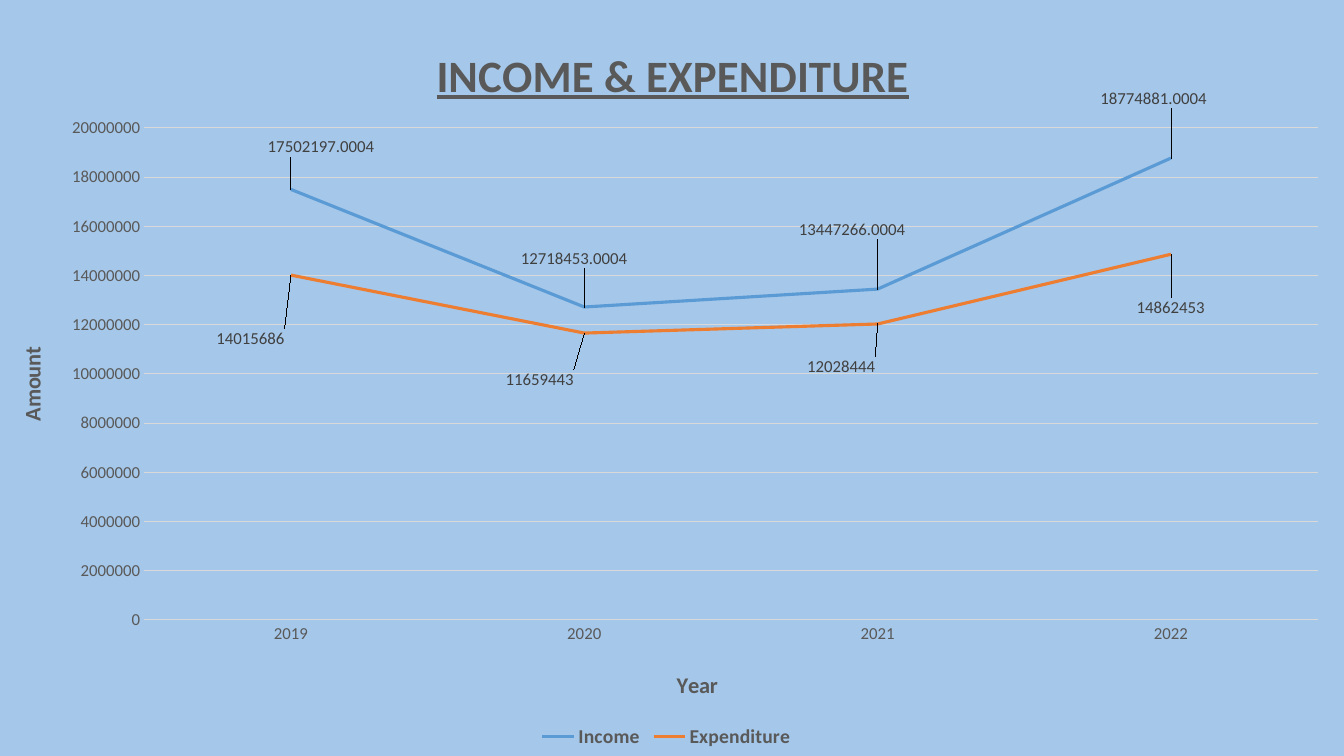
from lxml import etree
from pptx import Presentation
from pptx.chart.data import CategoryChartData
from pptx.dml.color import RGBColor
from pptx.enum.chart import (XL_CHART_TYPE, XL_LABEL_POSITION, XL_LEGEND_POSITION,
                             XL_MARKER_STYLE, XL_TICK_MARK)
from pptx.oxml.ns import qn
from pptx.util import Inches, Pt

LINE_CHART = XL_CHART_TYPE.LINE
LABEL_RIGHT = XL_LABEL_POSITION.RIGHT
LEGEND_BOTTOM = XL_LEGEND_POSITION.BOTTOM
NO_MARKER = XL_MARKER_STYLE.NONE
NO_TICK = XL_TICK_MARK.NONE

FONT = "Calibri"
BACKGROUND, GRAY, LABEL_GRAY, GRID = "A5C7E9", "595959", "404040", "D9D9D9"
CHART_BOX = (-0.14, 0, 13.47, 7.5)
YEARS = ["2019", "2020", "2021", "2022"]
# Name, colour, values, and the shift of each value label in inches
SERIES = [
    ("Income", "5B9BD5", [17502197.0004, 12718453.0004, 13447266.0004, 18774881.0004],
     [(-0.27, -0.42), (-0.67, -0.48), (-0.82, -0.59), (-0.74, -0.59)]),
    ("Expenditure", "ED7D31", [14015686, 11659443, 12028444, 14862453],
     [(-0.78, 0.63), (-0.82, 0.46), (-0.74, 0.42), (-0.38, 0.53)]),
]


def color(value):
    return RGBColor.from_string(value)


def style_font(font, size, value, bold=False):
    font.name, font.size, font.bold = FONT, Pt(size), bold
    font.color.rgb = color(value)


def style_line(line, value, width):
    line.color.rgb = color(value)
    line.width = Pt(width)


def place(element, box, left, top, width=None, height=None, index=1, modes=()):
    """Give a chart part a manual layout, in inches within the chart box."""
    for old in element.findall(qn("c:layout")):
        element.remove(old)
    layout = etree.Element(qn("c:layout"))
    manual = etree.SubElement(layout, qn("c:manualLayout"))
    settings = list(modes)
    for name, length, whole in (("x", left, box[2]), ("y", top, box[3]),
                                ("w", width, box[2]), ("h", height, box[3])):
        if length is not None:
            settings.append((name, f"{length / whole:.4f}"))
    for name, value in settings:
        etree.SubElement(manual, qn(f"c:{name}")).set("val", value)
    element.insert(index, layout)


def write_title(owner, title, text, size, underline=False):
    owner.has_title = True
    span = title.text_frame.paragraphs[0].add_run()
    span.text = text
    style_font(span.font, size, GRAY, True)
    span.font.underline = underline


def style_axes(chart):
    for axis, text in ((chart.category_axis, "Year"), (chart.value_axis, "Amount")):
        axis.major_tick_mark = axis.minor_tick_mark = NO_TICK
        style_font(axis.tick_labels.font, 12, GRAY)
        write_title(axis, axis.axis_title, text, 16)
    style_line(chart.category_axis.format.line, GRID, 0.75)
    amount = chart.value_axis
    amount.minimum_scale, amount.maximum_scale, amount.major_unit = 0, 20000000, 2000000
    amount.format.line.fill.background()
    amount.has_major_gridlines = True
    style_line(amount.major_gridlines.format.line, GRID, 0.75)
    turned = amount.axis_title.text_frame._txBody.find(qn("a:bodyPr"))
    turned.set("rot", "-5400000")
    turned.set("vert", "horz")


def style_series(series, box, value, shifts):
    series.smooth = False
    series.marker.style = NO_MARKER
    style_line(series.format.line, value, 2.25)
    series.data_labels.show_value = True
    style_font(series.data_labels.font, 12, LABEL_GRAY)
    for number in range(len(shifts)):
        label = series.points[number].data_label
        style_font(label.font, 12, LABEL_GRAY)
        label.position = LABEL_RIGHT
    for element, shift in zip(series._element.xpath("c:dLbls/c:dLbl"), shifts):
        place(element, box, *shift)


def add_trend_chart(page, box):
    data = CategoryChartData(number_format="General")
    data.categories = YEARS
    for name, _, values, _ in SERIES:
        data.add_series(name, values)
    chart = page.shapes.add_chart(LINE_CHART, *map(Inches, box), data).chart
    style_font(chart.font, 10, "000000")
    write_title(chart, chart.chart_title, "INCOME & EXPENDITURE", 32, True)
    style_axes(chart)
    chart.plots[0].vary_by_categories = False
    for series, (_, value, _, shifts) in zip(chart.plots[0].series, SERIES):
        style_series(series, box, value, shifts)

    # Legend
    chart.has_legend = True
    chart.legend.position = LEGEND_BOTTOM
    chart.legend.include_in_layout = False
    style_font(chart.legend.font, 14, GRAY, True)

    # Positions of titles, legend and plot area
    root = chart._chartSpace
    edges = [("xMode", "edge"), ("yMode", "edge")]
    spots = ((4.39, 0.36), (6.81, 6.61), (0.27, 3.4))
    for element, spot in zip(root.xpath("//c:title"), spots):
        place(element, box, *spot, modes=edges)
    place(root.xpath("//c:legend")[0], box, 5.45, 7.2, 2.6, 0.28, modes=edges)
    place(root.xpath("//c:plotArea")[0], box, 1.57, 1.27, 11.64, 4.88, index=0,
          modes=[("layoutTarget", "inner")] + edges)


def main():
    deck = Presentation()
    deck.slide_width, deck.slide_height = Inches(13.33), Inches(7.5)
    page = deck.slides.add_slide(deck.slide_layouts[6])
    page.background.fill.solid()
    page.background.fill.fore_color.rgb = color(BACKGROUND)
    add_trend_chart(page, CHART_BOX)
    deck.save("out.pptx")


if __name__ == "__main__":
    main()
